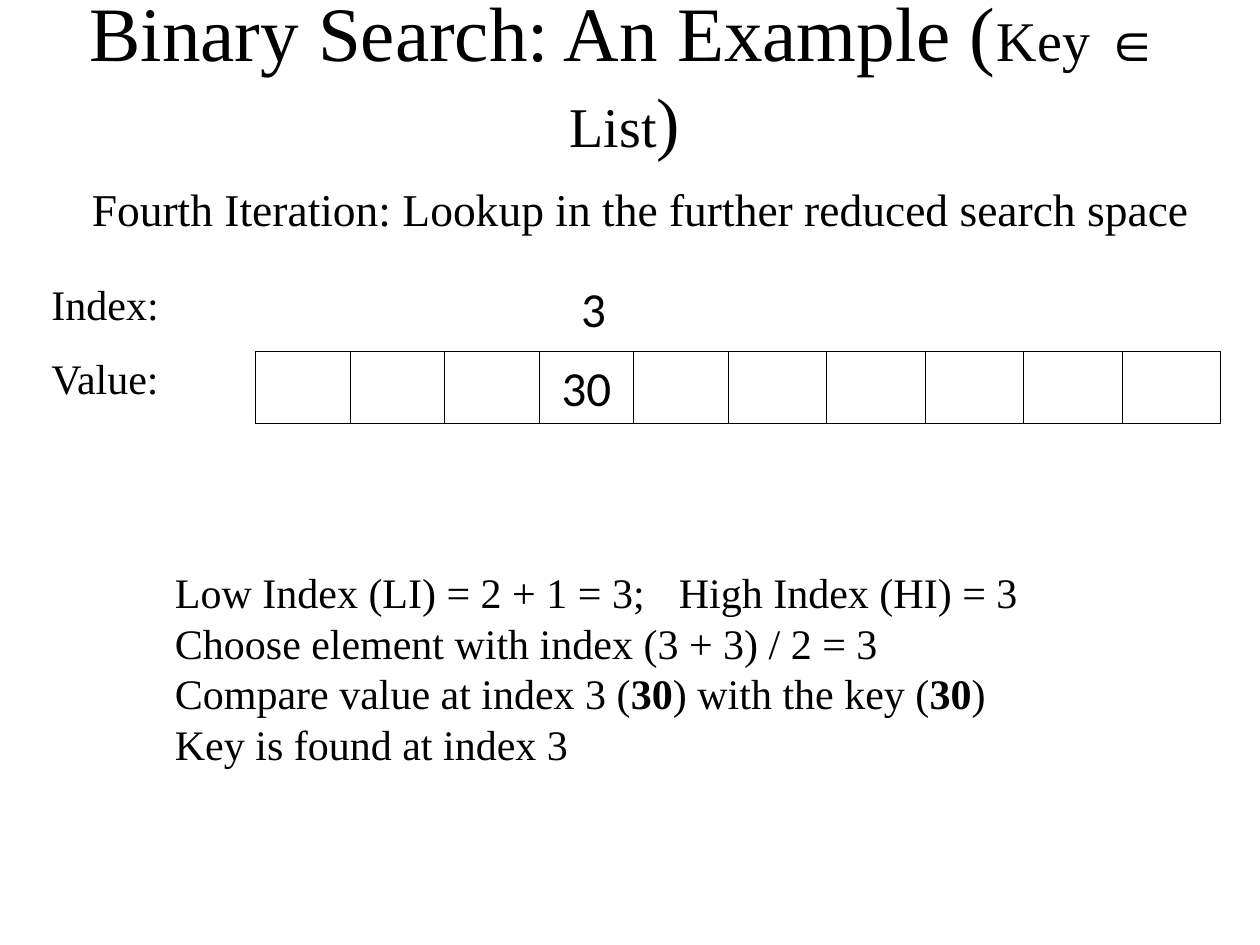
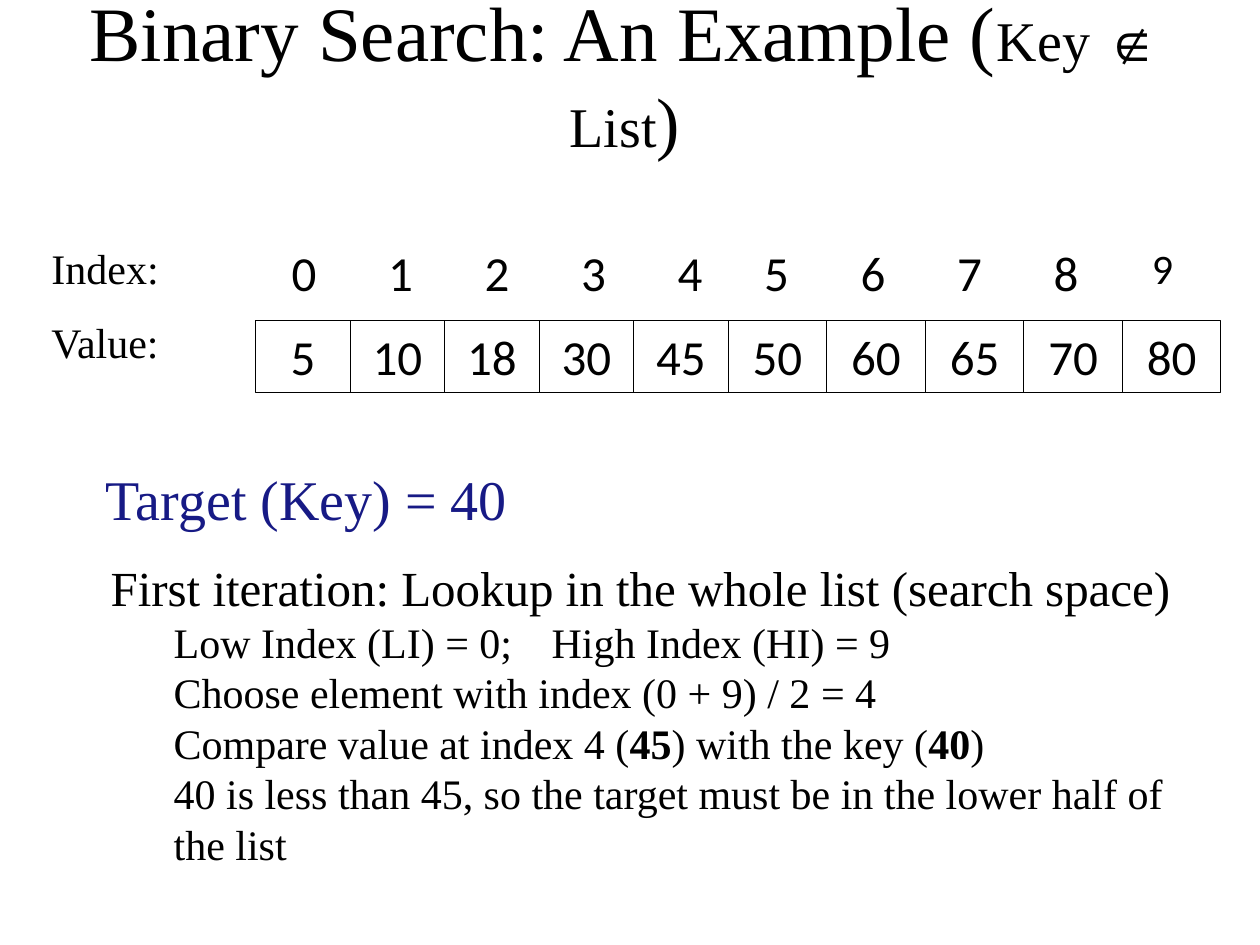
from lxml.etree import SubElement
from pptx import Presentation
from pptx.dml.color import RGBColor
from pptx.enum.shapes import MSO_SHAPE
from pptx.enum.text import MSO_ANCHOR, MSO_AUTO_SIZE, PP_ALIGN
from pptx.oxml.ns import qn
from pptx.util import Inches, Pt

BLACK = RGBColor(0x00, 0x00, 0x00)
NAVY = RGBColor(0x17, 0x1A, 0x85)
SERIF, SANS, SYMBOL = "Times New Roman", "Calibri", "Arial"

VALUES = [5, 10, 18, 30, 45, 50, 60, 65, 70, 80]
HALF = len(VALUES) // 2
ARRAY_LEFT, MIDDLE_LEFT, ARRAY_RIGHT = 2.03, 5.78, 9.69
NARROW_CELL = (MIDDLE_LEFT - ARRAY_LEFT) / HALF
WIDE_CELL = (ARRAY_RIGHT - MIDDLE_LEFT) / HALF
CELL_HEIGHT = 0.57
INDEX_STEP = 0.766


def place(shape, box):
    """Move a shape to a box of left, top, width, height in inches."""
    shape.left, shape.top, shape.width, shape.height = map(Inches, box)


def style(para, size, color=BLACK, name=SERIF, align=PP_ALIGN.LEFT):
    """Format a whole paragraph."""
    para.alignment = align
    para.font.size, para.font.name = Pt(size), name
    para.font.color.rgb = color


def add_text(page, box, text, size, anchor=MSO_ANCHOR.TOP, **look):
    """Add a wrapping text box with one paragraph and return its frame."""
    frame = page.shapes.add_textbox(*map(Inches, box)).text_frame
    frame.word_wrap = True
    frame.vertical_anchor = anchor
    frame.paragraphs[0].text = text
    style(frame.paragraphs[0], size, **look)
    return frame


def set_title(page, symbol):
    """Fill the title with the membership symbol between Key and List."""
    title = page.shapes.title
    place(title, (0.16, 0.15, 9.6, 0.86))
    frame = title.text_frame
    frame.auto_size = MSO_AUTO_SIZE.NONE
    frame.word_wrap = True
    frame.vertical_anchor = MSO_ANCHOR.MIDDLE
    para = frame.paragraphs[0]
    para.alignment = PP_ALIGN.CENTER
    for text, size, name in [
        ("Binary Search: An Example (", 44, SERIF),
        ("Key ", 32, SERIF),
        (symbol, 32, SYMBOL),
        (" List", 32, SERIF),
        (")", 40, SERIF),
    ]:
        span = para.add_run()
        span.text = text
        span.font.size, span.font.name = Pt(size), name
        span.font.color.rgb = BLACK


def add_cell(page, box):
    """Draw one outlined array cell and return its text frame."""
    cell = page.shapes.add_shape(MSO_SHAPE.RECTANGLE, *map(Inches, box))
    cell.shadow.inherit = False
    cell.fill.background()
    cell.line.color.rgb = BLACK
    cell.line.width = Pt(0.74)
    cell.text_frame.vertical_anchor = MSO_ANCHOR.TOP
    return cell.text_frame


def add_array(page, index_top, cell_top, active):
    """Draw labels and cells; only the search space has indices and values."""
    for label, top in (("Index:", index_top), ("Value:", index_top + 0.585)):
        add_text(page, (0.31, top, 1.41, 0.5), label, 24)
    for index, value in enumerate(VALUES):
        start = ARRAY_LEFT if index < HALF else MIDDLE_LEFT
        width = NARROW_CELL if index < HALF else WIDE_CELL
        offset = index % HALF
        frame = add_cell(page, (start + offset * width, cell_top, width, CELL_HEIGHT))
        if index not in active:
            continue
        frame.text = str(value)
        style(frame.paragraphs[0], 28, name=SANS, align=PP_ALIGN.CENTER)
        last = index == len(VALUES) - 1
        add_text(page, (start + offset * INDEX_STEP, index_top, INDEX_STEP,
                        0.5 if last else CELL_HEIGHT),
                 str(index), 24 if last else 28, name=SANS, align=PP_ALIGN.CENTER)


def add_step(para, text):
    """Write an indented step; text between asterisks is bold."""
    properties = para._p.get_or_add_pPr()
    properties.set("marL", str(Inches(0.5)))
    properties.set("indent", "0")
    if "\t" in text:
        stops = SubElement(properties, qn("a:tabLst"))
        for inch in range(8):
            SubElement(stops, qn("a:tab"), pos=str(Inches(inch)), algn="l")
    style(para, 24)
    for number, part in enumerate(text.split("*")):
        span = para.add_run()
        span.text = part
        if number % 2:
            span.font.bold = True


def add_steps(page, box, steps, heading=None):
    """Write the steps of an iteration, under a heading if there is one."""
    frame = add_text(page, box, heading or "", 28, MSO_ANCHOR.MIDDLE)
    for number, step in enumerate(steps):
        first = number == 0 and heading is None
        add_step(frame.paragraphs[0] if first else frame.add_paragraph(), step)


def add_found_slide(deck):
    """Build the last iteration of the search that finds its key."""
    page = deck.slides.add_slide(deck.slide_layouts[5])
    set_title(page, "\u2208")
    add_text(page, (0.63, 1.36, 8.98, 0.59),
             "Fourth Iteration: Lookup in the further reduced search space",
             26, MSO_ANCHOR.MIDDLE)
    add_array(page, 2.16, 2.79, active=[3])
    add_steps(page, (0.79, 3.9, 8.5, 2.8), [
        "Low Index (LI) = 2 + 1 = 3;\tHigh Index (HI) = 3",
        "Choose element with index (3 + 3) / 2 = 3",
        "Compare value at index 3 (*30*) with the key (*30*)",
        "Key is found at index 3",
    ])


def add_missing_slide(deck):
    """Build the first iteration of the search for an absent key."""
    page = deck.slides.add_slide(deck.slide_layouts[5])
    set_title(page, "\u2209")
    add_array(page, 1.875, 2.545, active=range(len(VALUES)))
    add_text(page, (0.74, 3.6, 8.39, 0.7), "Target (Key) = 40",
             32, MSO_ANCHOR.MIDDLE, color=NAVY)
    add_steps(page, (0.78, 4.36, 8.9, 2.6), [
        "Low Index (LI) = 0;\tHigh Index (HI) = 9",
        "Choose element with index (0 + 9) / 2 = 4",
        "Compare value at index 4 (*45*) with the key (*40*)",
        "40 is less than 45, so the target must be in the lower half of the list",
    ], heading="First iteration: Lookup in the whole list (search space)")


deck = Presentation()
deck.slide_width, deck.slide_height = Inches(10), Inches(7.5)
add_found_slide(deck)
add_missing_slide(deck)
deck.save("out.pptx")
